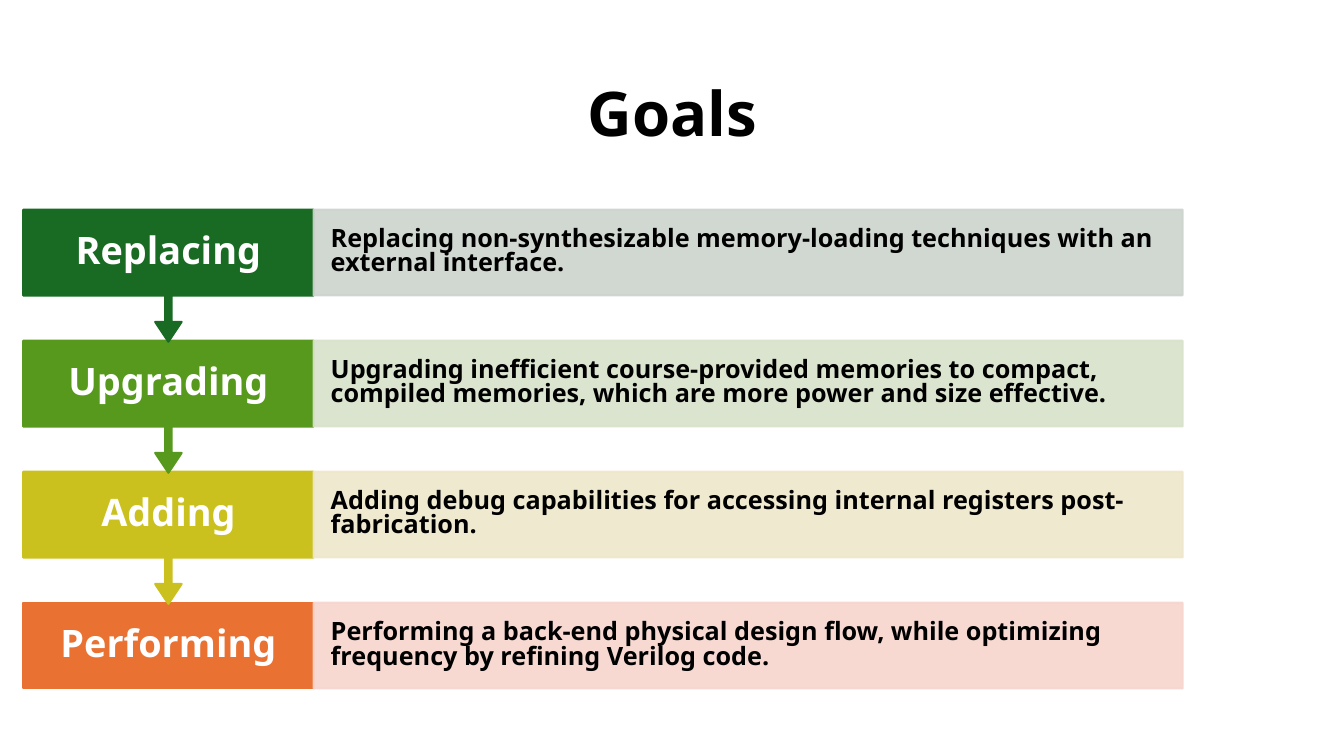
"""Build the Goals slide: four linked steps, each with a description."""
from lxml import etree
from pptx import Presentation
from pptx.dml.color import RGBColor
from pptx.enum.shapes import MSO_SHAPE as SHAPE
from pptx.enum.text import MSO_ANCHOR as ANCHOR, PP_ALIGN as ALIGN
from pptx.oxml.ns import qn
from pptx.util import Inches, Pt


def add_text(text, left, top, width, height, size, color="000000",
             align=ALIGN.CENTER, spacing=0.9, inset=0.1):
    tf = s.shapes.add_textbox(Inches(left), Inches(top), Inches(width), Inches(height)).text_frame
    tf.word_wrap = True
    tf.vertical_anchor = ANCHOR.MIDDLE
    tf.margin_left = tf.margin_right = Inches(inset)
    tf.margin_top = tf.margin_bottom = Inches(0)
    p = tf.paragraphs[0]
    p.alignment = align
    p.line_spacing = spacing
    r = p.add_run()
    r.text = text
    r.font.name = "Noto Sans"
    r.font.size = Pt(size)
    r.font.bold = True
    r.font.color.rgb = RGBColor.from_string(color)


def add_block(kind, left, top, width, height, color, alpha=100):
    sp = s.shapes.add_shape(kind, Inches(left), Inches(top), Inches(width), Inches(height))
    sp.shadow.inherit = False
    sp.fill.solid()
    sp.line.width = Pt(1.5)
    sp.fill.fore_color.rgb = sp.line.color.rgb = RGBColor.from_string(color)
    if alpha < 100:
        for clr in sp._element.spPr.iter(qn("a:srgbClr")):
            etree.SubElement(clr, qn("a:alpha")).set("val", str(alpha * 1000))
    return sp


prs = Presentation()
prs.slide_width, prs.slide_height = Inches(13.33), Inches(7.5)
s = prs.slides.add_slide(prs.slide_layouts[6])

add_text("Goals", 0.92, 0.43, 11.5, 1.45, 44)

STEPS = [
    ("Replacing", "196B24", "CCD4CD",
     "Replacing non-synthesizable memory-loading techniques with an external interface."),
    ("Upgrading", "56991D", "D8E2CA",
     "Upgrading inefficient course-provided memories to compact, compiled memories, "
     "which are more power and size effective."),
    ("Adding", "CBC11E", "EEE7CB",
     "Adding debug capabilities for accessing internal registers post-fabrication."),
    ("Performing", "E97132", "F7D5CE",
     "Performing a back-end physical design flow, while optimizing frequency "
     "by refining Verilog code."),
]
LEFT, TOP, PITCH, ROW_H = 0.23, 2.08, 1.3, 0.85
LABEL_W, DETAIL_W, CALLOUT_H = 2.88, 8.62, 1.31
DETAIL_LEFT = LEFT + LABEL_W

for i, (label, strong, pale, detail) in reversed(list(enumerate(STEPS))):
    top = TOP + i * PITCH
    if i == len(STEPS) - 1:
        add_block(SHAPE.RECTANGLE, LEFT, top, LABEL_W, ROW_H, strong)
    else:
        callout = add_block(SHAPE.UP_ARROW_CALLOUT, LEFT, top, LABEL_W, CALLOUT_H, strong)
        callout.rotation = 180
        for n, value in enumerate((0.05, 0.1, 0.15, 0.65)):
            callout.adjustments[n] = value
    add_text(label, LEFT, top, LABEL_W, ROW_H, 27, "FFFFFF", inset=0.2)
    add_block(SHAPE.RECTANGLE, DETAIL_LEFT, top, DETAIL_W, ROW_H, pale, alpha=90)
    add_text(detail, DETAIL_LEFT, top, DETAIL_W, ROW_H, 18,
             align=ALIGN.LEFT, spacing=0.8, inset=0.17)

prs.save("out.pptx")
